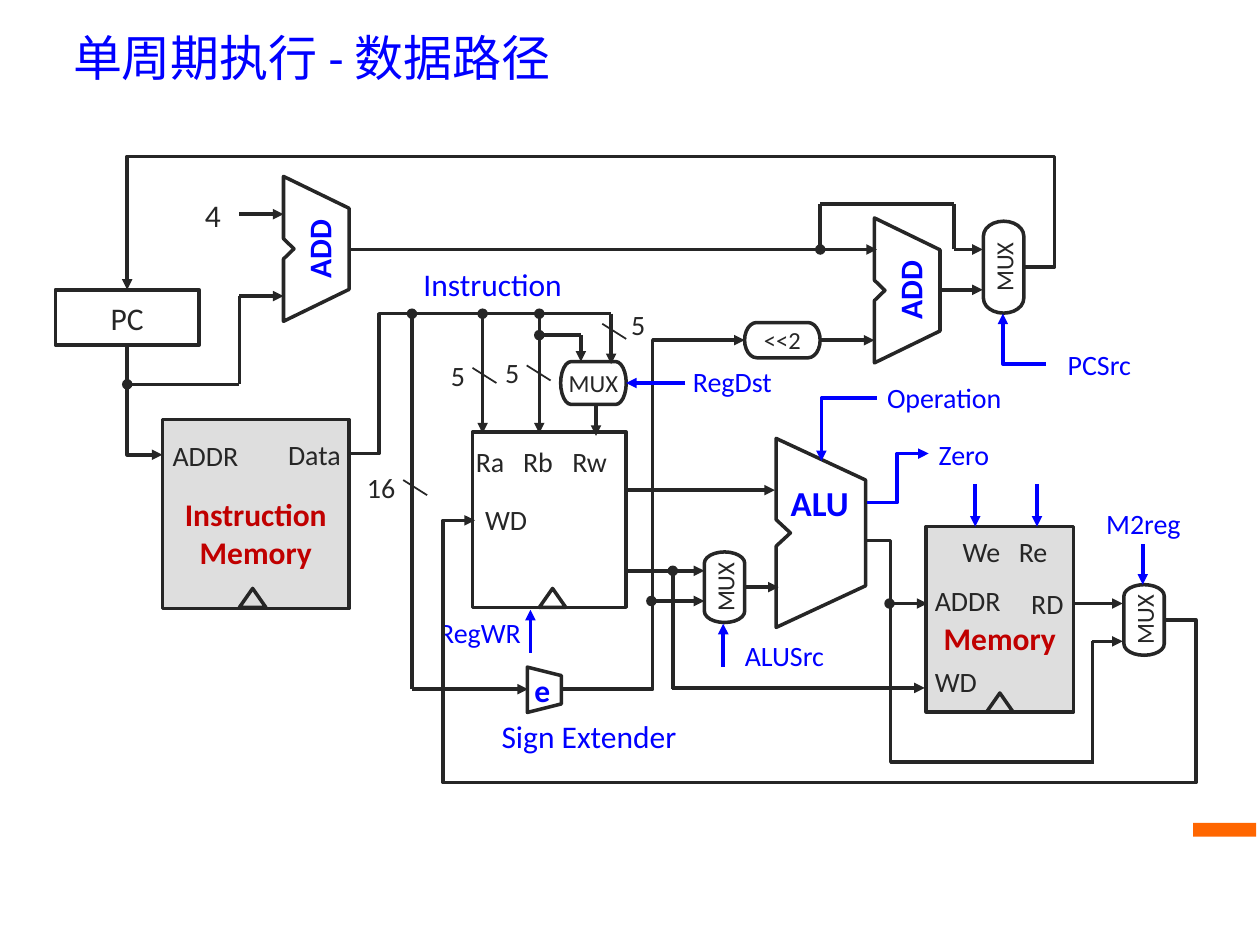
from dataclasses import dataclass
from typing import Any

from lxml.etree import SubElement
from pptx import Presentation
from pptx.dml.color import RGBColor
from pptx.enum.shapes import MSO_CONNECTOR as CONNECTOR, MSO_SHAPE as SHAPE
from pptx.enum.text import MSO_ANCHOR as ANCHOR, PP_ALIGN as ALIGN
from pptx.oxml.ns import qn
from pptx.util import Inches, Pt

# Grid of 100 columns by 75 rows; every length below counts cells
COLUMNS, ROWS = 100, 75
WIDTH, HEIGHT = Inches(10), Inches(7.5)
INK, BLUE, RED, GREY, ORANGE = "262626", "0000FF", "C00000", "DEDEDE", "FF6600"
FONT = "Calibri"


def colour(value):
    return RGBColor.from_string(value)


def columns(count):
    return round(count * WIDTH / COLUMNS)


def rows(count):
    return round(count * HEIGHT / ROWS)


def write(shape, text, size, ink, bold=False, align=ALIGN.CENTER, insets=(0, 0, 0, 0)):
    frame = shape.text_frame
    frame.text = text
    frame.word_wrap = True
    frame.vertical_anchor = ANCHOR.MIDDLE
    (frame.margin_left, frame.margin_top,
     frame.margin_right, frame.margin_bottom) = map(Inches, insets)
    for paragraph in frame.paragraphs:
        paragraph.alignment = align
        for run in paragraph.runs:
            run.font.name, run.font.size, run.font.bold = FONT, Pt(size), bold
            run.font.color.rgb = colour(ink)


def outline(shape, fill=None):
    shape.shadow.inherit = False
    if fill:
        shape.fill.solid()
        shape.fill.fore_color.rgb = colour(fill)
    else:
        shape.fill.background()
    shape.line.color.rgb = colour(INK)
    shape.line.width = Pt(2)


@dataclass
class Region:
    """Part of the slide whose pieces are placed from its top left cell."""
    slide: Any
    left: float
    top: float

    def point(self, x, y):
        return columns(self.left + x), rows(self.top + y)

    def place(self, x, y, width, height):
        return *self.point(x, y), columns(width), rows(height)

    def block(self, kind, box, fill=None, rotation=0):
        shape = self.slide.shapes.add_shape(kind, *self.place(*box))
        outline(shape, fill)
        shape.rotation = rotation
        return shape

    def mux(self, box, rotation=270, text="MUX"):
        shape = self.block(SHAPE.FLOWCHART_TERMINATOR, box, rotation=rotation)
        write(shape, text, 14, INK)
        return shape

    def clock(self, x, y):
        self.block(SHAPE.FLOWCHART_MERGE, (x, y, 2.1, 1.5), rotation=180)

    def label(self, text, box, ink=INK, size=16, align=ALIGN.CENTER, left=0.08,
              right=0, bold=False, rotation=0):
        shape = self.slide.shapes.add_textbox(*self.place(*box))
        write(shape, text, size, ink, bold, align, (left, 0, right, 0))
        shape.rotation = rotation

    def adder(self, x, y, width, height):
        """Notched outline shared by the adders and the ALU."""
        shares = [(0, 0), (1, .22), (1, .78), (0, 1), (0, .57), (.16, .5), (0, .43)]
        points = [self.point(x + a * width, y + b * height) for a, b in shares]
        builder = self.slide.shapes.build_freeform(*points[0], scale=1.0)
        builder.add_line_segments(points[1:], close=True)
        outline(builder.convert_to_shape())

    def add_unit(self, x, y):
        self.adder(x, y, 5.2, 11.5)
        self.label("ADD", (x - 1.2, y + 3.7, 8, 4.1), BLUE, 18, left=0, bold=True,
                   rotation=270)

    def wire(self, start, end, head="none", tail="none", ink=INK, width=2,
             kind=CONNECTOR.STRAIGHT):
        connector = self.slide.shapes.add_connector(
            kind, *self.point(*start), *self.point(*end))
        connector.line.color.rgb = colour(ink)
        connector.line.width = Pt(width)
        properties = connector._element.spPr
        for tag, mark in (("a:headEnd", head), ("a:tailEnd", tail)):
            SubElement(properties.find(qn("a:ln")), qn(tag), type=mark)
        SubElement(properties, qn("a:effectLst"))
        return connector

    def arrow(self, start, end, ink=INK, head="none"):
        return self.wire(start, end, head, "triangle", ink)

    def elbow(self, start, end, bends=(), **style):
        """Leave start sideways; bends are the x, y, x ... where it turns."""
        connector = self.wire(start, end, kind=CONNECTOR.ELBOW, **style)
        geometry = connector._element.spPr.find(qn("a:prstGeom"))
        geometry.set("prst", f"bentConnector{len(bends) + 2}")
        for guide in list(geometry):
            geometry.remove(guide)
        guides = SubElement(geometry, qn("a:avLst"))
        for index, bend in enumerate(bends):
            axis = index % 2
            share = (bend - start[axis]) / (end[axis] - start[axis])
            SubElement(guides, qn("a:gd"), name=f"adj{index + 1}",
                       fmla=f"val {round(share * 100000)}")


def draw_title(slide):
    title = slide.shapes.title
    title.left, title.top = columns(4.8), rows(0.8)
    title.width, title.height = columns(91.9), rows(7.5)
    write(title, "单周期执行 - 数据路径", 28, BLUE, align=ALIGN.LEFT,
          insets=(0.1, 0.05, 0.1, 0.05))


def draw_fetch(region):
    # Program counter, instruction memory and the +4 adder
    write(region.block(SHAPE.RECTANGLE, (4.4, 13, 11.4, 4.4)), "PC", 18, INK)
    memory = region.block(SHAPE.RECTANGLE, (12.9, 23.3, 14.8, 15), GREY)
    write(memory, "Instruction\nMemory", 18, RED, True, insets=(0.1, 0.35, 0.1, 0.05))
    region.label("ADDR", (12.9, 23.9, 7.6, 4.5), align=ALIGN.LEFT)
    region.label("Data", (22.5, 23.8, 4.9, 4.5), left=0)
    region.label("4", (15, 4.8, 3.8, 4.5), size=18, left=0)
    region.clock(19, 36.7)
    region.add_unit(22.5, 4)
    # Wires from the counter
    region.elbow((12.9, 26.1), (10.1, 17.5), head="triangle")
    region.wire((10.1, 20.5), (19, 20.5), head="oval")
    region.wire((19, 13.5), (19, 20.5))
    for y in (7, 13.5):
        region.arrow((19, y), (22.5, y))


def draw_decode(region):
    # Register file
    region.block(SHAPE.RECTANGLE, (7.5, 14.3, 12.2, 13.9))
    for name, x in (("Ra", 6.9), ("Rb", 10.7), ("Rw", 14.8)):
        region.label(name, (x, 14.4, 4, 4.5), left=0)
    region.label("WD", (7.7, 19, 5.5, 4.5), align=ALIGN.LEFT)
    region.clock(12.8, 26.7)
    mux = region.mux((14.5, 8.7, 5.2, 3.4), rotation=0)
    # Instruction bus and its branches
    region.elbow((-2.3, 16), (18.5, 4.9), [0.1])
    for x in (8.3, 12.8):
        region.arrow((x, 4.9), (x, 14.4), head="oval")
    region.wire((12.8, 6.6), (16.1, 6.6), head="oval")
    for x, top, bottom in ((16.1, 6.6, 8.7), (18.5, 4.9, 8.9), (17.3, 12, 14.6)):
        region.arrow((x, top), (x, bottom))
    # Bus widths
    for text, box, tick in (("5", (4.3, 7.5, 3.3, 4.5), (7.5, 9.2)),
                            ("5", (8.6, 7.3, 3.3, 4.5), (11.8, 9)),
                            ("5", (18.6, 3.5, 3.3, 4.5), (17.8, 5.7)),
                            ("16", (-2.3, 16.4, 4.3, 4.5), (2, 18.1))):
        region.label(text, box)
        region.wire(tick, (tick[0] + 1.9, tick[1] + 1.2), width=1)
    # Sign extender
    extender = region.block(SHAPE.TRAPEZOID, (11.4, 33.4, 3.6, 2.7), rotation=90)
    write(extender, "e", 18, BLUE, True)
    extender.text_frame._txBody.bodyPr.set("vert", "vert270")
    region.wire((2.7, 34.7), (2.7, 4.9), tail="oval")
    region.arrow((2.7, 34.7), (11.9, 34.7))
    region.elbow((14.6, 34.7), (29.1, 17 - 10), [21.8], tail="triangle")
    # Control signals and names
    region.arrow((12.1, 31.8), (12.1, 28.4), BLUE)
    region.arrow((24.4, 10.4), (19.7, 10.4), BLUE).end_connect(mux, 3)
    region.label("Instruction", (1.3, 0.3, 14.8, 4.5), BLUE, 18)
    region.label("Sign Extender", (8.3, 36.4, 16.1, 4), BLUE, 18)
    region.label("RegWR", (3.6, 28.5, 8.2, 3.4), BLUE)
    region.label("RegDst", (24.2, 8, 7.6, 4.5), BLUE, align=ALIGN.LEFT)


def draw_execute(region):
    region.adder(11.6, 4.8, 7.1, 15)
    region.label("ALU", (11.5, 8.2, 7.1, 3.4), BLUE, 20, left=0, bold=True)
    region.mux((4.7, 15, 5.6, 3.2))
    # Operands and results
    for x, end, y, head in ((-0.3, 11.5, 8.9, "none"), (-0.3, 5.9, 15.3, "none"),
                            (9.1, 11.8, 16.6, "none"), (1.7, 5.9, 17.7, "oval"),
                            (20.6, 23.6, 17.9, "oval"), (3.3, 23.4, 24.6, "none")):
        region.arrow((x, y), (end, y), head=head)
    region.wire((3.4, 15.3), (3.4, 24.7), head="oval")
    region.elbow((18.6, 12.9), (36.8, 30.5), [20.7])
    # Control signals
    region.elbow((18.8, 9.9), (23.7, 6), [21.2], tail="triangle", ink=BLUE)
    region.elbow((19.6, 1.6), (15.2, 6.6), tail="triangle", ink=BLUE)
    region.arrow((7.4, 22.9), (7.4, 19.5), BLUE)
    region.label("ALUSrc", (7.4, 20.3, 8.9, 3.4), BLUE)
    region.label("Operation", (19.6, -0.7, 10.8, 4.5), BLUE, align=ALIGN.LEFT)
    region.label("Zero", (23.7, 3.8, 7.6, 4.5), BLUE, align=ALIGN.LEFT)


def draw_branch(region):
    shifter = region.mux((-0.9, 15.6, 6, 2.8), rotation=0, text="<<2")
    region.add_unit(9.4, 7.3)
    region.mux((16, 9.6, 7.3, 3.2))
    region.arrow((5.1, 17), (9.4, 17)).begin_connect(shifter, 3)
    for x, end, y in ((-32.3, 9.6, 9.8), (15.7, 18, 9.8), (14.6, 18, 13)):
        region.arrow((x, y), (end, y))
    # Bypass over the adder, then the loop back to the counter
    region.wire((5.1, 9.8), (5.1, 6.2), head="oval")
    region.wire((5.1, 6.2), (15.7, 6.2))
    region.wire((15.7, 9.8), (15.7, 6.2))
    region.elbow((21.2, 11.2), (-49.9, 13), [23.7, 2.4], tail="triangle")
    region.elbow((23, 18.9), (19.6, 14.9), tail="triangle", ink=BLUE)
    region.label("PCSrc", (23, 17.2, 7.7, 3.4), BLUE)


def draw_memory(region):
    memory = region.block(SHAPE.RECTANGLE, (3.5, 6.8, 11.7, 14.7), GREY)
    write(memory, "Memory", 18, RED, True, insets=(0.1, 0.35, 0.1, 0.05))
    for name, x in (("We", 5.9), ("Re", 10)):
        region.label(name, (x, 7.4, 4, 2.7), left=0)
    region.label("ADDR", (3.4, 10.4, 7.6, 4.5), align=ALIGN.LEFT)
    region.label("RD", (9.7, 10.6, 5.5, 4.5), align=ALIGN.RIGHT, right=0.08)
    region.label("WD", (3.4, 16.8, 5.5, 4.5), align=ALIGN.LEFT)
    region.clock(8.3, 20)
    region.mux((18, 12.6, 5.6, 3.2))
    # Write-back path
    region.arrow((15.2, 12.9), (19.1, 12.9))
    region.wire((16.7, 15.9), (16.7, 25.5))
    region.arrow((16.7, 15.9), (19.1, 15.9))
    region.elbow((22.4, 14.2), (-32.3, 6.3), [24.9, 27.1, -34.8], tail="triangle")
    # Control signals
    for x, top, bottom in ((7.4, 3.4, 6.8), (12.3, 3.4, 6.8), (20.7, 8.2, 11.4)):
        region.arrow((x, top), (x, bottom), BLUE)
    region.label("M2reg", (16.9, 4.8, 7.7, 3.4), BLUE, left=0)


def main():
    presentation = Presentation()
    presentation.slide_width, presentation.slide_height = WIDTH, HEIGHT
    slide = presentation.slides.add_slide(presentation.slide_layouts[5])
    # Corner accent
    accent = Region(slide, 94.7, 65.3).block(SHAPE.RECTANGLE, (0, 0, 5, 1.1), ORANGE)
    accent.line.fill.background()
    draw_title(slide)
    for draw, left, top in ((draw_fetch, 0, 10), (draw_decode, 30, 20),
                            (draw_execute, 50, 30), (draw_branch, 60, 10),
                            (draw_memory, 70, 35)):
        draw(Region(slide, left, top))
    presentation.save("out.pptx")


if __name__ == "__main__":
    main()
